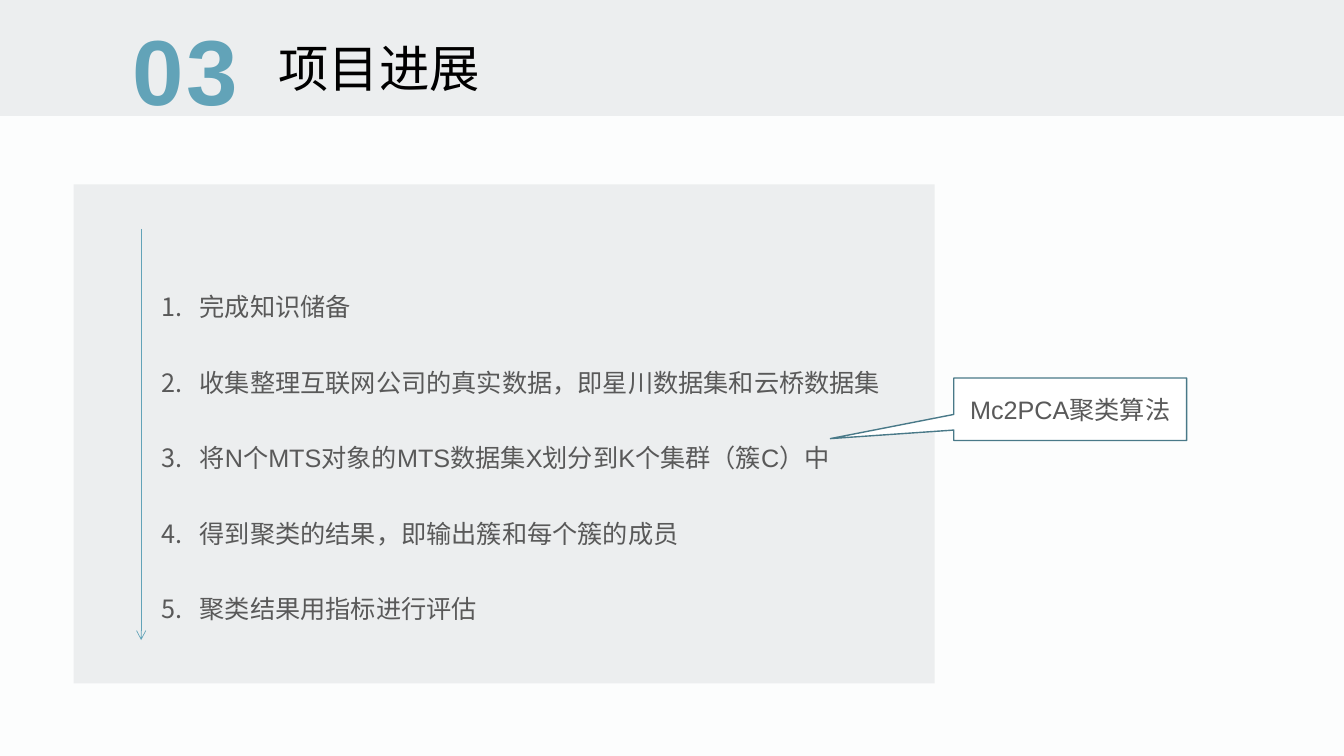
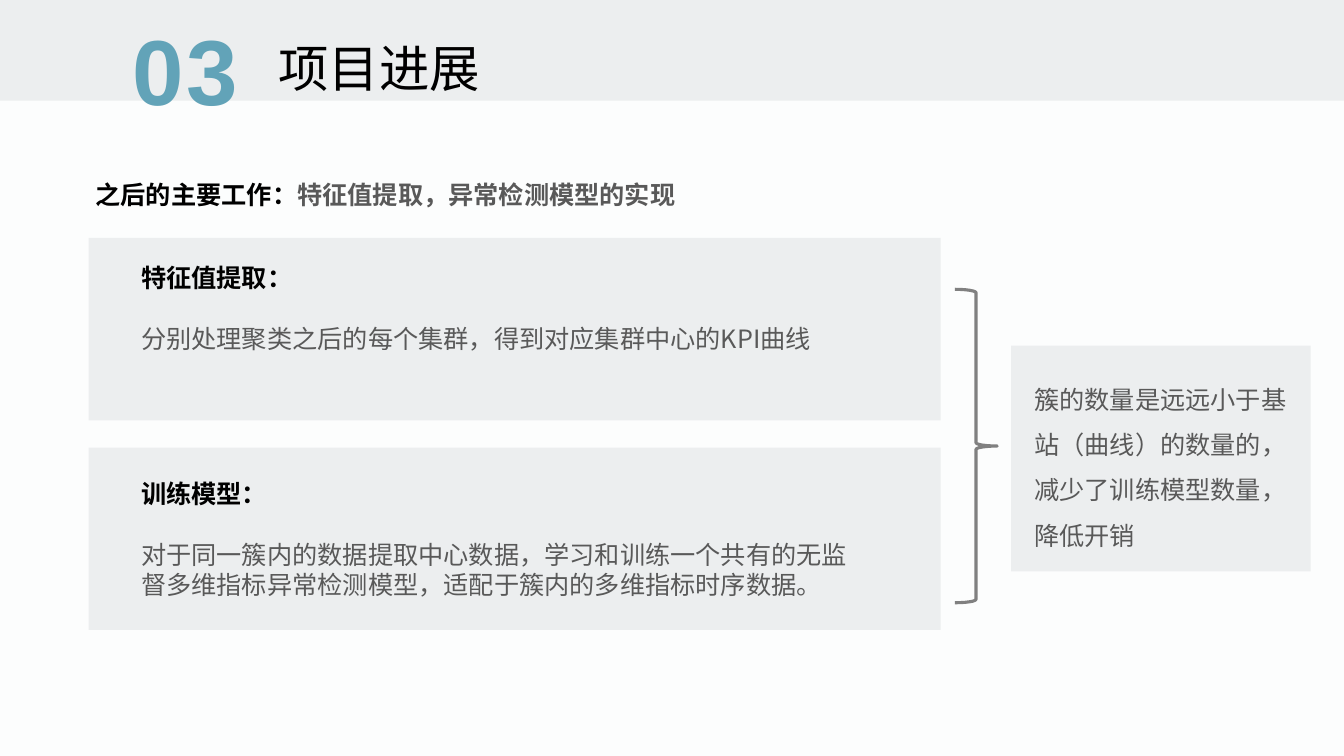
from dataclasses import dataclass

from lxml.etree import SubElement
from pptx import Presentation
from pptx.dml.color import RGBColor
from pptx.enum.shapes import MSO_CONNECTOR as Link, MSO_SHAPE as Kind
from pptx.enum.text import MSO_ANCHOR as Anchor, MSO_AUTO_SIZE as Fit, PP_ALIGN as Align
from pptx.oxml.ns import qn
from pptx.util import Inches, Pt


@dataclass(frozen=True)
class Theme:
    page: str = "FCFDFD"
    panel: str = "ECEEEF"
    teal: str = "62A3B8"
    edge: str = "497988"
    ink: str = "000000"
    text: str = "595959"
    gray: str = "808080"
    white: str = "FFFFFF"
    latin: str = "Arial"
    asian: str = "Noto Sans CJK SC"
    body: int = 18
    title: int = 36
    number: int = 66


T = Theme()
WIDE, HIGH = 13.33, 7.5

NUMBER, TITLE = "03", "项目进展"
STEPS = [
    "完成知识储备",
    "收集整理互联网公司的真实数据，即星川数据集和云桥数据集",
    "将N个MTS对象的MTS数据集X划分到K个集群（簇C）中",
    "得到聚类的结果，即输出簇和每个簇的成员",
    "聚类结果用指标进行评估",
]
METHOD = "Mc2PCA聚类算法"
LEAD = ("之后的主要工作：", "特征值提取，异常检测模型的实现")
CARDS = [
    (0.19, 1.01, "特征值提取：", "分别处理聚类之后的每个集群，得到对应集群中心的KPI曲线"),
    (0.25, 1.31, "训练模型：",
     "对于同一簇内的数据提取中心数据，学习和训练一个共有的无监督多维指标异常检测模型，适配于簇内的多维指标时序数据。"),
]
RESULT = "簇的数量是远远小于基站（曲线）的数量的，减少了训练模型数量，降低开销"


def rgb(code):
    return RGBColor.from_string(code)


def put(shape, paras, size=T.body, color=T.text, font=T.asian, bold=False, align=Align.LEFT,
        anchor=Anchor.TOP, lines=1.0, after=0, track=0, hang=0):
    frame = shape.text_frame
    frame.word_wrap, frame.auto_size = True, Fit.NONE
    frame.vertical_anchor = anchor
    for i, runs in enumerate(paras):
        para = frame.add_paragraph() if i else frame.paragraphs[0]
        para.alignment, para.line_spacing = align, lines
        para.space_before = Pt(0)
        para.space_after = Pt(after if i < len(paras) - 1 else 0)
        for item in [runs] if isinstance(runs, str) else runs:
            words, own = (item, {}) if isinstance(item, str) else item
            run = para.add_run()
            run.text = words
            run.font.size = Pt(size)
            run.font.bold = own.get("bold", bold)
            run.font.name = own.get("font", font)
            run.font.color.rgb = rgb(own.get("color", color))
    for prop in shape.element.iter(qn("a:pPr")):
        prop.set("marL", str(Inches(hang)))
        prop.set("indent", str(-Inches(hang)))
        if hang:
            SubElement(prop, qn("a:buFont")).set("typeface", T.asian)
            SubElement(prop, qn("a:buAutoNum")).set("type", "arabicPeriod")
        else:
            SubElement(prop, qn("a:buNone"))
    for prop in shape.element.iter(qn("a:rPr")):
        SubElement(prop, qn("a:ea")).set("typeface", T.asian)
        if track:
            prop.set("spc", str(track * 100))


def box(slide, *place):
    return slide.shapes.add_textbox(*map(Inches, place))


def hold(slide, index, *place):
    shape = slide.placeholders[index]
    shape.left, shape.top, shape.width, shape.height = map(Inches, place)
    shape.element.getparent().append(shape.element)
    return shape


def draw(slide, kind, *place, fill=None, line=None, width=1, adjust=()):
    shape = slide.shapes.add_shape(kind, *map(Inches, place))
    shape.shadow.inherit = False
    if fill:
        shape.fill.solid()
        shape.fill.fore_color.rgb = rgb(fill)
    else:
        shape.fill.background()
    if line:
        shape.line.color.rgb = rgb(line)
        shape.line.width = Pt(width)
    else:
        shape.line.fill.background()
    for i, value in enumerate(adjust):
        shape.adjustments[i] = value
    return shape


def panel(slide, *place):
    return draw(slide, Kind.RECTANGLE, *place, fill=T.panel)


def arrow(slide, x, top, end):
    link = slide.shapes.add_connector(Link.STRAIGHT, *map(Inches, (x, top, x, end)))
    link.line.color.rgb = rgb(T.teal)
    link.line.width = Pt(0.5)
    SubElement(link.line._get_or_add_ln(), qn("a:tailEnd")).set("type", "arrow")
    SubElement(link.element.spPr, qn("a:effectLst"))


def start(deck, layout, band):
    slide = deck.slides.add_slide(deck.slide_layouts[layout])
    panel(slide, 0, 0, WIDE, band)
    put(hold(slide, 0, 2.66, 0.32, 5.56, 0.71), [TITLE],
        size=T.title, color=T.ink, font=T.latin)
    put(box(slide, 0.93, 0.07, 1.82, 1.21), [NUMBER], size=T.number, color=T.teal,
        font=T.latin, bold=True, align=Align.CENTER, anchor=Anchor.MIDDLE, track=2)
    return slide


def progress(deck):
    slide = start(deck, 1, 1.15)
    panel(slide, 0.73, 1.83, 8.54, 4.95)
    arrow(slide, 1.4, 2.27, 6.35)
    put(hold(slide, 1, 1.5, 2.39, 7.78, 4.49), STEPS, font=T.latin, lines=2.5, hang=0.38)
    note = draw(slide, Kind.RECTANGULAR_CALLOUT, 9.46, 3.75, 2.31, 0.62,
                fill=T.white, line=T.edge, adjust=(-1.03, 0.47))
    put(note, [METHOD], font=T.latin, align=Align.CENTER, anchor=Anchor.MIDDLE)


def plan(deck):
    slide = start(deck, 3, 1)
    strong = {"bold": True, "color": T.ink}
    put(box(slide, 0.85, 1.58, 11.57, 0.5), [[(LEAD[0], strong), LEAD[1]]],
        bold=True, lines=1.5)
    for i, (drop, high, head, words) in enumerate(CARDS):
        top = 2.36 + i * 2.08
        panel(slide, 0.88, top, 8.45, 1.81)
        put(hold(slide, i + 1, 1.3, top + drop, 7.33, high),
            [[(head, {**strong, "font": T.latin})], words], after=22)
    draw(slide, Kind.RIGHT_BRACE, 9.47, 2.87, 0.42, 3.11,
         line=T.gray, width=2.25, adjust=(0.08, 0.5))
    panel(slide, 10.03, 3.43, 2.97, 2.24)
    put(box(slide, 10.16, 3.61, 2.71, 1.86), [RESULT], lines=1.5)


def main():
    deck = Presentation()
    deck.slide_width, deck.slide_height = Inches(WIDE), Inches(HIGH)
    back = deck.slide_master.background.fill
    back.solid()
    back.fore_color.rgb = rgb(T.page)
    progress(deck)
    plan(deck)
    deck.save("out.pptx")


if __name__ == "__main__":
    main()
